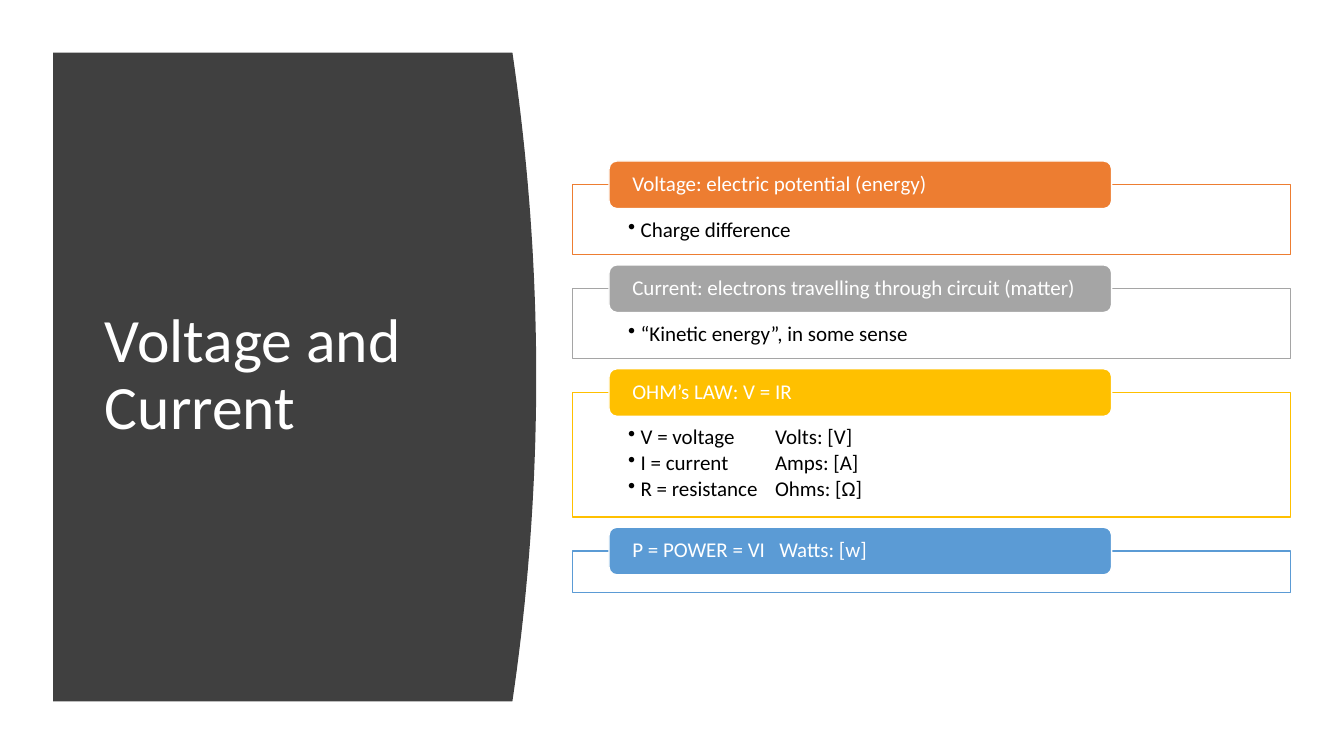
"""Builds the slide "Voltage and Current" with four headed definition boxes."""
from lxml.etree import SubElement
from pptx import Presentation
from pptx.dml.color import RGBColor
from pptx.enum.shapes import MSO_SHAPE as Preset
from pptx.enum.text import MSO_ANCHOR as Anchor, MSO_AUTO_SIZE as AutoSize, PP_ALIGN as Align
from pptx.oxml.ns import qn
from pptx.util import Pt

WHITE = RGBColor(0xFF, 0xFF, 0xFF)
BLACK = RGBColor(0x00, 0x00, 0x00)
CHARCOAL = RGBColor(0x40, 0x40, 0x40)
ORANGE = RGBColor(0xED, 0x7D, 0x31)
GRAY = RGBColor(0xA5, 0xA5, 0xA5)
GOLD = RGBColor(0xFF, 0xC0, 0x00)
BLUE = RGBColor(0x5B, 0x9B, 0xD5)

TOPICS = [
    ("Voltage: electric potential (energy)", ["Charge difference"], ORANGE, 50),
    ("Current: electrons travelling through circuit (matter)",
     ["“Kinetic energy”, in some sense"], GRAY, 50),
    ("OHM’s LAW: V = IR",
     ["V = voltage\tVolts: [V]", "I = current\tAmps: [A]", "R = resistance\tOhms: [Ω]"],
     GOLD, 89),
    ("P = POWER = VI\tWatts: [w]", [], BLUE, 29.8),
]
FIRST_TOP, GAP, HEADER_HEIGHT = 132, 24.2, 34
BOX_LEFT, BOX_WIDTH = 409, 513
HEADER_LEFT, HEADER_WIDTH = 435, 359
TAB_STOP, BULLET_INDENT = 105, 9


def set_values(target, values):
    for name, value in values.items():
        setattr(target, name, value)


class SlideBuilder:
    """Holds the text style and the slide being built."""

    font_name = "Calibri"
    text_size = 15

    def __init__(self, presentation):
        self.slide = presentation.slides.add_slide(presentation.slide_layouts[5])

    def fill_text(self, shape, lines, color, size, margins, anchor):
        frame = shape.text_frame
        left, top, right, bottom = map(Pt, margins)
        set_values(frame, {"word_wrap": True, "auto_size": AutoSize.NONE,
                           "vertical_anchor": anchor, "margin_left": left, "margin_top": top,
                           "margin_right": right, "margin_bottom": bottom})
        frame.text = "\n".join(lines)
        for paragraph in frame.paragraphs:
            set_values(paragraph, {"alignment": Align.LEFT, "line_spacing": 0.9})
            for run in paragraph.runs:
                set_values(run.font, {"name": self.font_name, "size": Pt(size)})
                run.font.color.rgb = color
        return frame.paragraphs

    def title(self, text, left, top, width, height):
        title = self.slide.shapes.title
        set_values(title, {"left": Pt(left), "top": Pt(top),
                           "width": Pt(width), "height": Pt(height)})
        self.fill_text(title, [text], WHITE, 44, (7.2, 3.6, 7.2, 3.6), Anchor.MIDDLE)
        self.slide.shapes.element.append(title.element)

    def curved_panel(self, left, top, edge, bulge, bottom, steps=40):
        points = []
        for step in range(steps + 1):
            share = step / steps
            x = edge + bulge * (1 - (2 * share - 1) ** 2)
            points.append((Pt(x), Pt(top + share * (bottom - top))))
        outline = self.slide.shapes.build_freeform(Pt(left), Pt(top))
        outline.add_line_segments(points + [(Pt(left), Pt(bottom))], close=True)
        panel = outline.convert_to_shape()
        panel.shadow.inherit = False
        panel.fill.solid()
        panel.fill.fore_color.rgb = CHARCOAL
        panel.line.fill.background()

    def box(self, preset, left, top, width, height, fill, line):
        shape = self.slide.shapes.add_shape(preset, Pt(left), Pt(top), Pt(width), Pt(height))
        shape.shadow.inherit = False
        shape.fill.solid()
        shape.fill.fore_color.rgb = fill
        shape.line.color.rgb = line
        shape.line.width = Pt(1)
        return shape

    def tab_stop(self, properties):
        tabs = SubElement(properties, qn("a:tabLst"))
        SubElement(tabs, qn("a:tab"), pos=str(Pt(TAB_STOP)), algn="l")

    def definition_box(self, lines, color, top, height):
        shape = self.box(Preset.RECTANGLE, BOX_LEFT, top, BOX_WIDTH, height, WHITE, color)
        fill_color = shape.element.spPr.find(qn("a:solidFill"))[0]
        SubElement(fill_color, qn("a:alpha"), val="90000")
        if not lines:
            return
        margins = (39.6, 24.5, 39.6, 8.6)
        for paragraph in self.fill_text(shape, lines, BLACK, self.text_size, margins, Anchor.TOP):
            paragraph.space_after = Pt(2.25)
            properties = paragraph._p.get_or_add_pPr()
            properties.set("marL", str(Pt(BULLET_INDENT)))
            properties.set("indent", str(Pt(-BULLET_INDENT)))
            SubElement(properties, qn("a:buChar"), char="•")
            self.tab_stop(properties)

    def header(self, text, color, top):
        shape = self.box(Preset.ROUNDED_RECTANGLE, HEADER_LEFT, top, HEADER_WIDTH,
                         HEADER_HEIGHT, color, WHITE)
        paragraphs = self.fill_text(shape, [text], WHITE, self.text_size,
                                    (15, 0, 15, 0), Anchor.MIDDLE)
        self.tab_stop(paragraphs[0]._p.get_or_add_pPr())


presentation = Presentation()
set_values(presentation, {"slide_width": Pt(960), "slide_height": Pt(540)})
builder = SlideBuilder(presentation)
builder.curved_panel(left=38, top=37.5, edge=366, bulge=17, bottom=501)
builder.title("Voltage and Current", 67.7, 80, 269.3, 377)

top = FIRST_TOP
for heading, lines, color, height in TOPICS:
    builder.definition_box(lines, color, top, height)
    builder.header(heading, color, top - HEADER_HEIGHT / 2)
    top += height + GAP

presentation.save("out.pptx")
